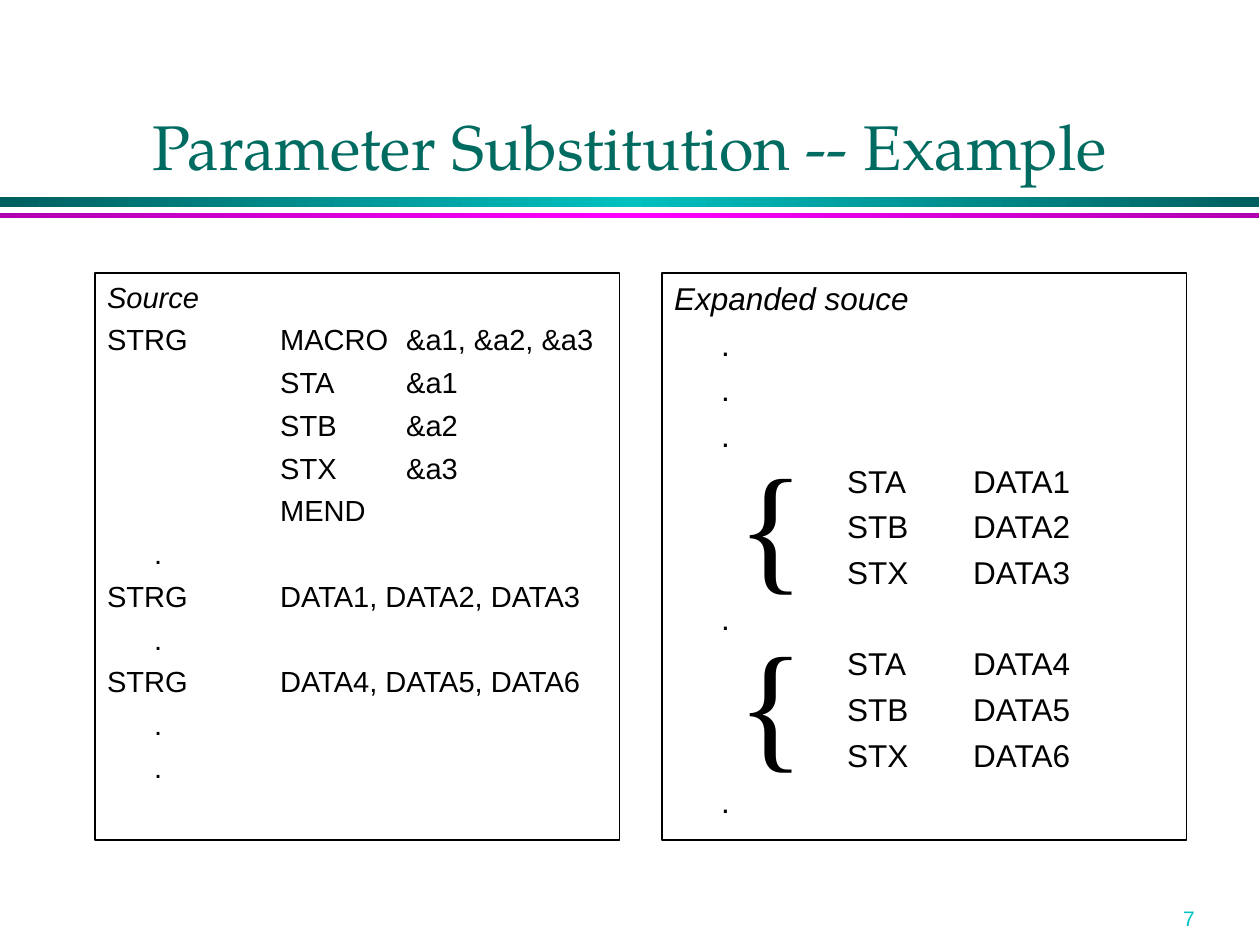
from copy import deepcopy

from pptx import Presentation
from pptx.dml.color import RGBColor
from pptx.enum.shapes import MSO_SHAPE
from pptx.enum.text import MSO_ANCHOR, PP_ALIGN
from pptx.oxml.ns import qn
from pptx.util import Cm, Pt

RECTANGLE = MSO_SHAPE.RECTANGLE
TOP, BOTTOM = MSO_ANCHOR.TOP, MSO_ANCHOR.BOTTOM
LEFT, CENTER = PP_ALIGN.LEFT, PP_ALIGN.CENTER

COLORS = {
    "title": "006B61",
    "text": "000000",
    "teal_dark": "005F5F",
    "teal": "00C0C0",
    "magenta_dark": "B100B1",
    "magenta": "FF00FF",
}
TAB_STEP = Cm(2.54)
HANGING_INDENT = Cm(0.95)

SOURCE_CODE = [
    "Source",
    "STRG \tMACRO\t&a1, &a2, &a3",
    "\t\tSTA\t&a1",
    "\t\tSTB\t&a2",
    "\t\tSTX\t&a3",
    "\t\tMEND",
    "\t.",
    "STRG\tDATA1, DATA2, DATA3",
    "\t.",
    "STRG\tDATA4, DATA5, DATA6",
    "\t.",
    "\t.",
]


def macro_expansion(first):
    """Lines that one macro call expands to, starting at DATA<first>."""
    return [f"\t\t{op}\tDATA{first + i}" for i, op in enumerate(("STA", "STB", "STX"))]


EXPANDED_CODE = ["Expanded souce", *["\t."] * 3, *macro_expansion(1), "\t.",
                 *macro_expansion(4), "\t."]


def rgb(name):
    return RGBColor.from_string(COLORS[name])


def format_run(run, font, size, color):
    run.font.name = font
    run.font.size = Pt(size)
    run.font.color.rgb = rgb(color)


def add_label(slide, box, text, font, size, color, align=LEFT, anchor=TOP):
    frame = slide.shapes.add_textbox(*box).text_frame
    frame.word_wrap = True
    frame.vertical_anchor = anchor
    frame.text = text
    line = frame.paragraphs[0]
    line.alignment = align
    format_run(line.runs[0], font, size, color)


def add_gradient_bar(slide, box, edge, middle):
    """Horizontal bar that shades from edge to middle and back."""
    bar = slide.shapes.add_shape(RECTANGLE, *box)
    bar.shadow.inherit = False
    bar.line.fill.background()
    bar.fill.gradient()
    bar.fill.gradient_angle = 0
    stop_list = bar.element.spPr.find(".//" + qn("a:gsLst"))
    stop_list.insert(1, deepcopy(stop_list[0]))
    for stop, position, color in zip(bar.fill.gradient_stops, (0, 0.5, 1), (edge, middle, edge)):
        stop.position = position
        stop.color.rgb = rgb(color)


def set_code_layout(line):
    """Hanging indent and evenly spaced tab stops for a line of code."""
    line.alignment = LEFT
    line.space_before = Pt(4.5)
    properties = line._p.get_or_add_pPr()
    properties.set("marL", str(HANGING_INDENT))
    properties.set("indent", str(-HANGING_INDENT))
    properties.set("defTabSz", str(TAB_STEP))


def add_code_panel(slide, box, code, size):
    """Outlined panel of code lines under an italic heading."""
    panel = slide.shapes.add_shape(RECTANGLE, *box)
    panel.shadow.inherit = False
    panel.fill.background()
    panel.line.color.rgb = rgb("text")
    panel.line.width = Pt(1)
    frame = panel.text_frame
    frame.word_wrap = True
    frame.vertical_anchor = TOP
    frame.text = "\n".join(code)
    for i, line in enumerate(frame.paragraphs):
        set_code_layout(line)
        format_run(line.runs[0], "Arial", size, "text")
        line.runs[0].font.italic = i == 0


def add_expanded_panel(slide, box):
    """Expanded code with a brace beside each expansion."""
    add_code_panel(slide, box, EXPANDED_CODE, 18)
    left, top = box[:2]
    for offset, width in ((Cm(3.18), Cm(0.91)), (Cm(6.76), Cm(1.55))):
        brace_box = (left + Cm(1.27), top + offset, width, Cm(3.66))
        add_label(slide, brace_box, "{", "Times New Roman", 80, "text")


def add_header(slide, box):
    """Title with two gradient rules below it."""
    left, top, width, height = box
    title_box = (left + Cm(1.9), top + Cm(0.64), width - Cm(3.8), Cm(3.18))
    add_label(slide, title_box, "Parameter Substitution -- Example",
              "TeX Gyre Pagella", 36, "title", CENTER, BOTTOM)
    add_gradient_bar(slide, (left, top + Cm(3.97), width, Cm(0.2)), "teal_dark", "teal")
    add_gradient_bar(slide, (left, top + height - Cm(0.1), width, Cm(0.1)),
                     "magenta_dark", "magenta")


def main():
    presentation = Presentation()
    presentation.slide_width = Cm(25.4)
    presentation.slide_height = Cm(19.05)
    slide = presentation.slides.add_slide(presentation.slide_layouts[6])

    add_header(slide, (0, 0, Cm(25.38), Cm(4.4)))
    panel_top, panel_width, panel_height = Cm(5.5), Cm(10.58), Cm(11.43)
    add_code_panel(slide, (Cm(1.91), panel_top, panel_width, panel_height), SOURCE_CODE, 16.6)
    add_expanded_panel(slide, (Cm(13.34), panel_top, panel_width, panel_height))
    add_label(slide, (Cm(23.6), Cm(18.14), Cm(2.44), Cm(0.76)), "7", "Arial", 12, "teal")

    presentation.save("out.pptx")


if __name__ == "__main__":
    main()
